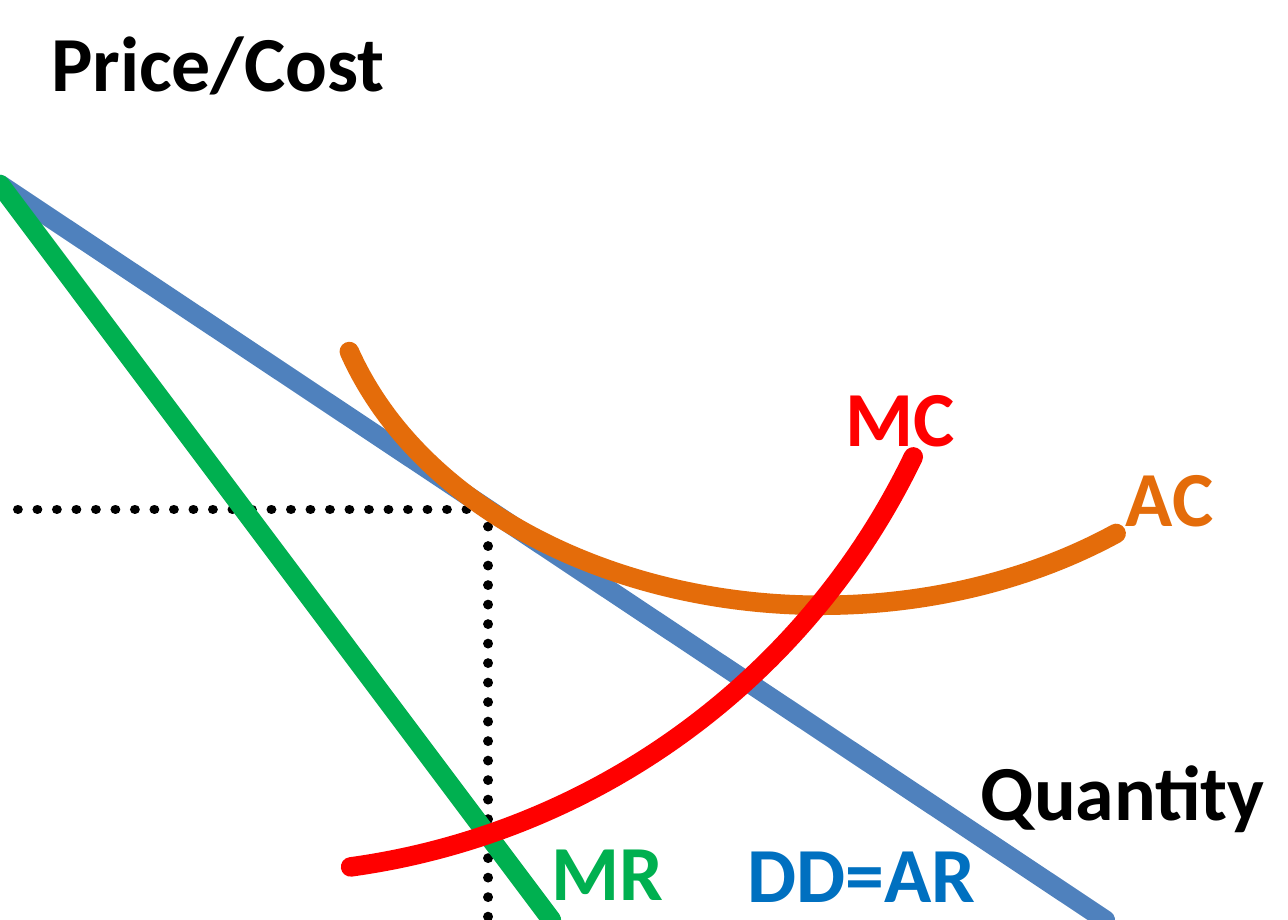
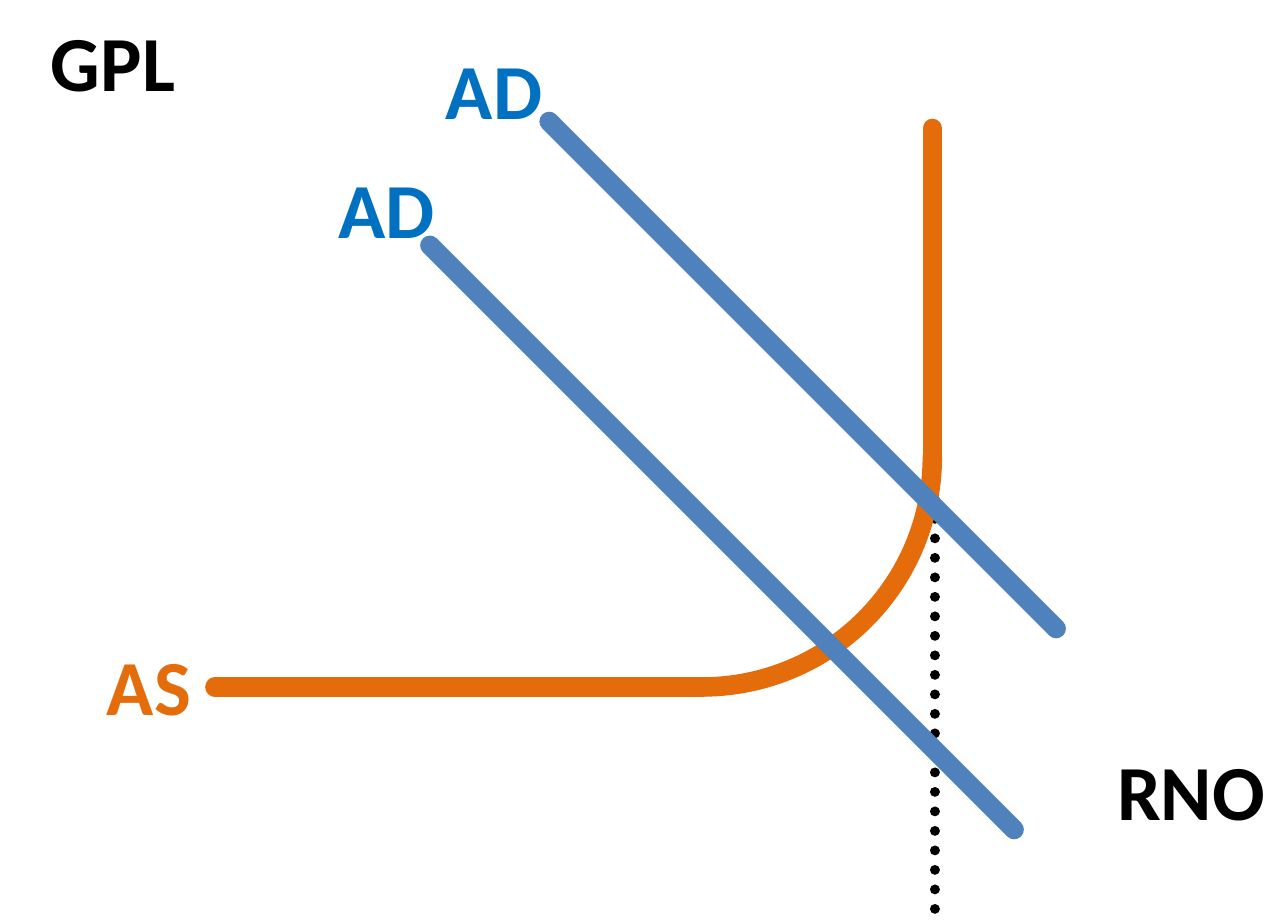
from dataclasses import dataclass

import pptx
import pptx.dml.color
import pptx.enum.dml
import pptx.enum.shapes
import pptx.enum.text
import pptx.oxml.ns
import pptx.util
from lxml import etree
from pptx.util import Inches


@dataclass(frozen=True)
class Theme:
    ink: str = "000000"
    demand: str = "4F81BD"
    demand_text: str = "0070C0"
    revenue: str = "00B050"
    supply: str = "E46C0A"
    marginal: str = "FF0000"
    font: str = "Calibri"
    label_size: float = 24
    curve_width: float = 6
    guide_width: float = 3
    label_height: float = 0.5


@dataclass(frozen=True)
class Box:
    left: float
    top: float
    width: float
    height: float

    def inside(self, left, top, width, height):
        return Box(self.left + left, self.top + top, width, height)

    def lengths(self):
        return [Inches(value) for value in (self.left, self.top, self.width, self.height)]


THEME = Theme()
CENTIMETRES_PER_INCH = 2.54
PAGE = Box(0, 0, 14 / CENTIMETRES_PER_INCH, 10 / CENTIMETRES_PER_INCH)


def style_line(shape, color, width):
    shape.line.color.rgb = pptx.dml.color.RGBColor.from_string(color)
    shape.line.width = pptx.util.Pt(width)
    shape.line._get_or_add_ln().set("cap", "rnd")


def add_line(shapes, box, start, end, color, width=THEME.curve_width):
    line = shapes.add_connector(
        pptx.enum.shapes.MSO_CONNECTOR.STRAIGHT,
        Inches(box.left + start[0]), Inches(box.top + start[1]),
        Inches(box.left + end[0]), Inches(box.top + end[1]),
    )
    style_line(line, color, width)
    etree.SubElement(line._element.spPr, pptx.oxml.ns.qn("a:effectLst"))
    return line


def add_guide(shapes, box, start, end):
    guide = add_line(shapes, box, start, end, THEME.ink, THEME.guide_width)
    guide.line.dash_style = pptx.enum.dml.MSO_LINE.ROUND_DOT


def add_arc(shapes, box, start_degrees, end_degrees, color):
    arc = shapes.add_shape(pptx.enum.shapes.MSO_SHAPE.ARC, *box.lengths())
    for index, degrees in enumerate((start_degrees, end_degrees)):
        arc.adjustments[index] = degrees * 60000 / 100000
    arc.fill.background()
    arc.shadow.inherit = False
    style_line(arc, color, THEME.curve_width)


def add_label(slide, box, text, left, top, width, color,
              alignment=pptx.enum.text.PP_ALIGN.LEFT):
    area = box.inside(left, top, width, THEME.label_height)
    text_frame = slide.shapes.add_textbox(*area.lengths()).text_frame
    text_frame.text = text
    text_frame.word_wrap = False
    text_frame.auto_size = pptx.enum.text.MSO_AUTO_SIZE.SHAPE_TO_FIT_TEXT
    paragraph = text_frame.paragraphs[0]
    paragraph.alignment = alignment
    font = paragraph.runs[0].font
    font.name = THEME.font
    font.size = pptx.util.Pt(THEME.label_size)
    font.bold = True
    font.color.rgb = pptx.dml.color.RGBColor.from_string(color)


def add_axis_titles(slide, box, vertical, vertical_width, horizontal, horizontal_width):
    add_label(slide, box, vertical, 0.12, 0.01, vertical_width, THEME.ink)
    add_label(slide, box, horizontal, box.width - horizontal_width, 3.13,
              horizontal_width, THEME.ink, pptx.enum.text.PP_ALIGN.RIGHT)


def add_firm_diagram(slide, box):
    shapes = slide.shapes
    add_guide(shapes, box, (2.09, 2.17), (2.09, box.height))
    add_guide(shapes, box, (2.08, 2.18), (0.01, 2.18))
    for quantity, color in ((4.73, THEME.demand), (2.36, THEME.revenue)):
        add_line(shapes, box, (0, 0.79), (quantity, box.height), color)
    add_arc(shapes, box.inside(1.39, -0.56, 4.25, 3.15), 45.14, 166.39, THEME.supply)
    add_arc(shapes, box.inside(-2.08, -2.56, 6.3, 6.3), 25.69, 82.14, THEME.marginal)
    for text, left, top, width, color in (
        ("MC", 3.52, 1.53, 0.68, THEME.marginal),
        ("AC", 4.72, 1.87, 0.58, THEME.supply),
        ("MR", 2.26, 3.47, 0.69, THEME.revenue),
        ("DD=AR", 3.1, 3.48, 1.19, THEME.demand_text),
    ):
        add_label(slide, box, text, left, top, width, color)
    add_axis_titles(slide, box, "Price/Cost", 1.65, "Quantity", 1.43)


def add_supply_curve(slide, box):
    shapes = slide.shapes.add_group_shape().shapes
    diameter = 1.97
    bend = Box(box.left + box.width - diameter, box.top + box.height - diameter,
               diameter, diameter)
    add_arc(shapes, bend, 0, 90, THEME.supply)
    radius = diameter / 2
    add_line(shapes, box, (0, box.height), (box.width - radius, box.height), THEME.supply)
    add_line(shapes, box, (box.width, box.height - radius), (box.width, 0), THEME.supply)


def add_economy_diagram(slide, box):
    add_guide(slide.shapes, box, (4, 1.97), (4, box.height))
    add_supply_curve(slide, box.inside(0.92, 0.55, 3.07, 2.39))
    add_axis_titles(slide, box, "GPL", 0.74, "RNO", 0.84)
    add_label(slide, box, "AS", 0.36, 2.68, 0.56, THEME.supply)
    for start, run, label_left, label_top in (
        ((1.84, 1.05), 2.5, 1.35, 0.64),
        ((2.35, 0.52), 2.17, 1.81, 0.13),
    ):
        end = (start[0] + run, start[1] + run)
        add_line(slide.shapes, box, start, end, THEME.demand)
        add_label(slide, box, "AD", label_left, label_top, 0.62, THEME.demand_text)


def main():
    presentation = pptx.Presentation()
    presentation.slide_width = Inches(PAGE.width)
    presentation.slide_height = Inches(PAGE.height)
    for add_diagram in (add_firm_diagram, add_economy_diagram):
        add_diagram(presentation.slides.add_slide(presentation.slide_layouts[6]), PAGE)
    presentation.save("out.pptx")


if __name__ == "__main__":
    main()
